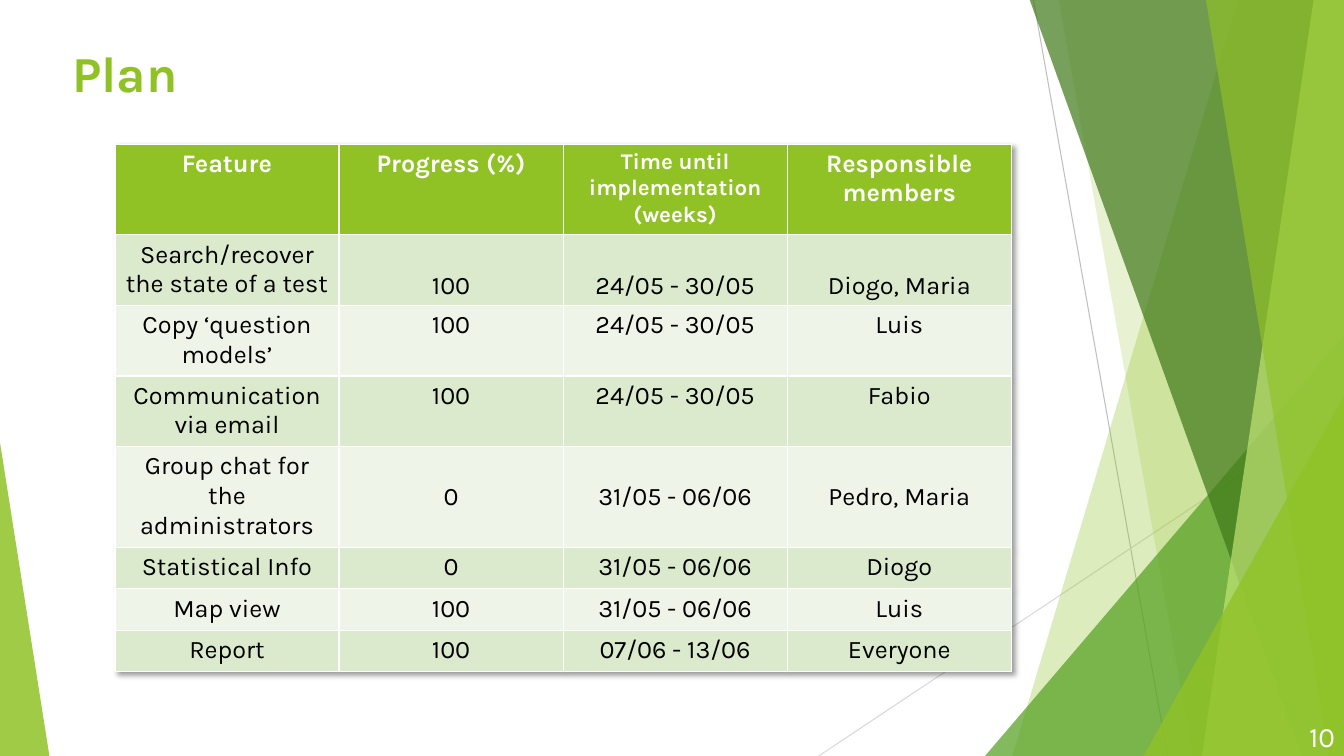
from lxml.etree import SubElement as Sub
from pptx import Presentation
from pptx.dml.color import RGBColor
from pptx.enum.shapes import MSO_CONNECTOR as Link, MSO_SHAPE as Kind
from pptx.enum.text import MSO_ANCHOR as Anchor, PP_ALIGN as Align
from pptx.oxml import parse_xml
from pptx.oxml.ns import nsdecls, qn
from pptx.util import Inches, Pt

WIDE, HIGH, TOP = 13.33, 7.5, -0.01
LIME, WHITE, BLACK = "90C226", "FFFFFF", "000000"
BANDS = ("DBE9CD", "EEF4E8")
LINES = [
    ((10.25, 0, 11.58, HIGH), "BFBFBF"),
    ((WIDE, 4.03, 8.12, HIGH), "D9D9D9"),
]
HEADS = ["Feature", "Progress (%)", "Time until implementation\n(weeks)", "Responsible members"]
TASKS = [
    ("Search/recover the state of a test", "100", "24/05 - 30/05", "Diogo, Maria"),
    ("Copy ‘question models’", "100", "24/05 - 30/05", "Luis"),
    ("Communication via email", "100", "24/05 - 30/05", "Fabio"),
    ("Group chat for the administrators", "0", "31/05 - 06/06", "Pedro, Maria"),
    ("Statistical Info", "0", "31/05 - 06/06", "Diogo"),
    ("Map view", "100", "31/05 - 06/06", "Luis"),
    ("Report", "100", "07/06 - 13/06", "Everyone"),
]
ANCHORS = {1: Anchor.BOTTOM, 4: Anchor.MIDDLE}
SHADOW = (
    f'<a:effectLst {nsdecls("a")}><a:outerShdw blurRad="50800" dist="38100" dir="2700000" '
    'algn="tl" rotWithShape="0"><a:prstClr val="black"><a:alpha val="40000"/></a:prstClr>'
    "</a:outerShdw></a:effectLst>"
)


def color(code):
    """Turn a hex string into a colour."""
    return RGBColor.from_string(code)


def paint(shape, code, alpha):
    """Fill a shape with a translucent colour, without line or shadow."""
    shape.shadow.inherit = False
    shape.line.fill.background()
    shape.fill.solid()
    shape.fill.fore_color.rgb = color(code)
    tint = shape._element.spPr.find(".//" + qn("a:srgbClr"))
    Sub(tint, qn("a:alpha")).set("val", str(alpha * 1000))


def add_line(slide, ends, code):
    """Draw a thin straight line."""
    line = slide.shapes.add_connector(Link.STRAIGHT, *map(Inches, ends))
    line.line.color.rgb = color(code)
    line.line.width = Pt(0.75)
    Sub(line._element.spPr, qn("a:effectLst"))


def add_blade(slide, upper, lower, code, alpha):
    """Draw a full-height panel with a slanted left edge."""
    points = [(upper, TOP), (WIDE, TOP), (WIDE, HIGH), (lower, HIGH)]
    spots = [(Inches(x), Inches(y)) for x, y in points]
    form = slide.shapes.build_freeform(*spots[0])
    form.add_line_segments(spots[1:])
    paint(form.convert_to_shape(), code, alpha)


def add_wedge(slide, left, top, width, apex, code, alpha):
    """Draw a triangle that stands on the bottom edge."""
    box = map(Inches, (left, top, width, HIGH - top))
    wedge = slide.shapes.add_shape(Kind.ISOSCELES_TRIANGLE, *box)
    wedge.adjustments[0] = apex
    paint(wedge, code, alpha)


def write(frame, text, code, align, **style):
    """Put styled text into a text frame."""
    frame.text = text
    frame.word_wrap = True
    for para in frame.paragraphs:
        para.alignment = align
        for run in para.runs:
            run.font.color.rgb = color(code)
            for name, value in {"name": "Karla", **style}.items():
                setattr(run.font, name, value)


def add_text(slide, box, text, code, align, anchor, **style):
    """Place a text box."""
    frame = slide.shapes.add_textbox(*map(Inches, box)).text_frame
    write(frame, text, code, align, **style)
    frame.vertical_anchor = anchor


def add_plan(slide):
    """Build the plan table with its header and bands."""
    rows = [HEADS, *TASKS]
    box = map(Inches, (1.14, 1.43, 8.89, 0.41 * len(rows)))
    table = slide.shapes.add_table(len(rows), len(HEADS), *box).table
    table._tbl.tblPr.insert(0, parse_xml(SHADOW))
    for r, row in enumerate(rows):
        head = r == 0
        for c, text in enumerate(row):
            cell = table.cell(r, c)
            cell.fill.solid()
            cell.fill.fore_color.rgb = color(LIME if head else BANDS[(r - 1) % 2])
            cell.vertical_anchor = ANCHORS.get(r, Anchor.TOP) if c else Anchor.TOP
            size = Pt(16 if "\n" in text else 18)
            write(cell.text_frame, text, WHITE if head else BLACK, Align.CENTER, size=size, bold=head)


def add_decor(slide):
    """Draw the lines, blades and wedges from back to front."""
    for ends, code in LINES:
        add_line(slide, ends, code)
    add_blade(slide, 12.28, 10.04, LIME, 30)
    add_blade(slide, 10.5, 11.83, LIME, 20)
    add_wedge(slide, 9.77, 3.33, 3.56, 1, "54A021", 72)
    add_blade(slide, 10.21, 12.91, "3F7819", 70)
    add_blade(slide, 13.03, 11.92, "C0E474", 70)
    add_blade(slide, 11.96, 13.18, LIME, 65)
    add_wedge(slide, 11.34, 3.93, 1.99, 1, LIME, 80)
    add_wedge(slide, 0, 4.39, 0.49, 0, LIME, 85)


def main():
    """Build the slide and save it."""
    deck = Presentation()
    deck.slide_width, deck.slide_height = Inches(WIDE), Inches(HIGH)
    slide = deck.slides.add_slide(deck.slide_layouts[6])
    add_decor(slide)
    add_text(slide, (0.62, 0.37, 11, 1.5), "Plan", LIME, Align.LEFT, Anchor.TOP, size=Pt(36), bold=True)
    add_plan(slide)
    add_text(slide, (12.59, 7.1, 0.75, 0.4), "10", WHITE, Align.RIGHT, Anchor.MIDDLE, size=Pt(20))
    deck.save("out.pptx")


if __name__ == "__main__":
    main()
